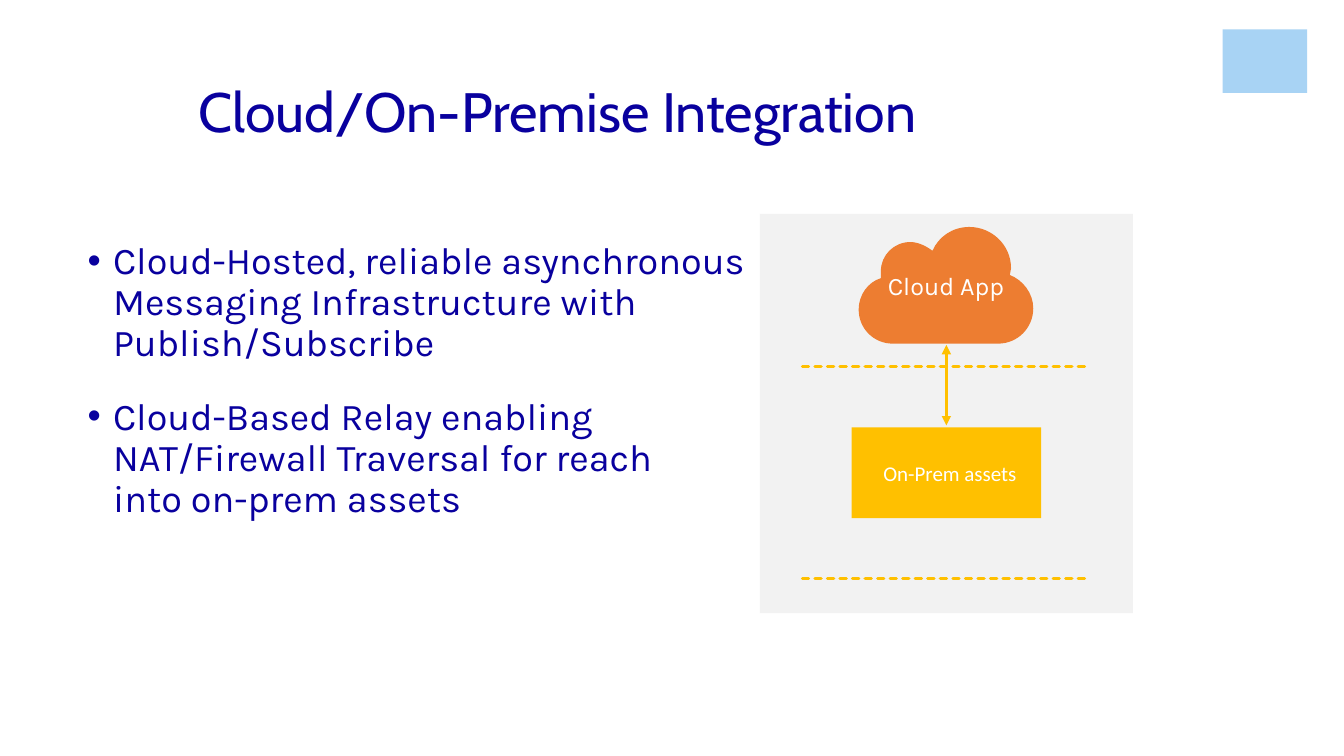
import pptx
import pptx.util
import pptx.dml.color
import pptx.enum.dml
import pptx.enum.shapes
import pptx.enum.text
import pptx.oxml
import pptx.oxml.ns
from pptx.util import Cm

COLORS = {"navy": "09009E", "panel": "F2F2F2", "orange": "ED7D31",
          "amber": "FFC000", "sky": "A8D3F4", "white": "FFFFFF"}
qn = pptx.oxml.ns.qn
RECTANGLE = pptx.enum.shapes.MSO_SHAPE.RECTANGLE
STRAIGHT = pptx.enum.shapes.MSO_CONNECTOR.STRAIGHT


def paint(shape, color):
    shape.shadow.inherit = False
    shape.fill.solid()
    shape.fill.fore_color.rgb = pptx.dml.color.RGBColor.from_string(COLORS[color])
    shape.line.fill.background()


def write(shape, *texts, size, font, color="navy", align="LEFT", anchor="MIDDLE",
          left_inset=0.25, right_inset=0.25, inset=0.13, line_spacing=1.0,
          before=0, after=0, bullet=False):
    frame = shape.text_frame
    frame.word_wrap = True
    frame.vertical_anchor = pptx.enum.text.MSO_ANCHOR[anchor]
    frame.margin_left, frame.margin_right = Cm(left_inset), Cm(right_inset)
    frame.margin_top = frame.margin_bottom = Cm(inset)
    for number, text in enumerate(texts):
        paragraph = frame.add_paragraph() if number else frame.paragraphs[0]
        paragraph.text = text
        paragraph.alignment = pptx.enum.text.PP_ALIGN[align]
        paragraph.line_spacing = line_spacing
        paragraph.space_before = pptx.util.Pt(before)
        paragraph.space_after = pptx.util.Pt(after)
        for run in paragraph.runs:
            run.font.size = pptx.util.Pt(size)
            run.font.name = font
            run.font.color.rgb = pptx.dml.color.RGBColor.from_string(COLORS[color])
        if bullet:
            properties = paragraph._p.get_or_add_pPr()
            properties.set("marL", str(Cm(0.64)))
            properties.set("indent", str(-Cm(0.64)))
            bullet_font = properties.makeelement(qn("a:buFont"), {"typeface": "Arial"})
            bullet_mark = properties.makeelement(qn("a:buChar"), {"char": "•"})
            properties.extend([bullet_font, bullet_mark])


presentation = pptx.Presentation()
presentation.slide_width, presentation.slide_height = Cm(33.87), Cm(19.05)
slide = presentation.slides.add_slide(presentation.slide_layouts[6])
shapes = slide.shapes

# Corner block and diagram panel
corner = shapes.add_shape(RECTANGLE, Cm(30.81), Cm(0.74), Cm(2.13), Cm(1.6))
paint(corner, "sky")
panel = shapes.add_shape(RECTANGLE, Cm(19.15), Cm(5.39), Cm(9.4), Cm(10.06))
paint(panel, "panel")

# Cloud: each row is two control points and the end point of a curve, in cm
cloud_start = (25.45, 6.93)
cloud_curves = [
    ((25.45, 6.88), (25.48, 6.81), (25.48, 6.76)),
    ((25.48, 6.17), (24.99, 5.72), (24.43, 5.72)),
    ((24.0, 5.72), (23.65, 5.97), (23.5, 6.32)),
    ((23.34, 6.2), (23.14, 6.1), (22.94, 6.1)),
    ((22.53, 6.1), (22.2, 6.43), (22.2, 6.83)),
    ((22.2, 6.88), (22.2, 6.96), (22.2, 7.01)),
    ((21.87, 7.11), (21.64, 7.44), (21.64, 7.8)),
    ((21.64, 8.28), (22.02, 8.66), (22.5, 8.66)),
    ((25.15, 8.66), (25.15, 8.66), (25.15, 8.66)),
    ((25.65, 8.66), (26.04, 8.26), (26.04, 7.77)),
    ((26.04, 7.39), (25.78, 7.06), (25.45, 6.93)),
]
builder = shapes.build_freeform(Cm(cloud_start[0]), Cm(cloud_start[1]))
builder.add_line_segments([(Cm(x), Cm(y)) for *controls, (x, y) in cloud_curves], close=True)
cloud = builder.convert_to_shape()
paint(cloud, "orange")

# Turn the straight segments of the cloud into curves
segments = list(cloud._element.iter(qn("a:lnTo")))
for segment, curve in zip(segments, cloud_curves):
    bend = segment.makeelement(qn("a:cubicBezTo"), {})
    for x, y in curve:
        position = {"x": str(Cm(x) - cloud.left), "y": str(Cm(y) - cloud.top)}
        bend.append(bend.makeelement(qn("a:pt"), position))
    segment.getparent().replace(segment, bend)
write(cloud, "Cloud App", size=18, font="Karla", color="white", align="CENTER",
      left_inset=0.2, right_inset=0.2, inset=0.1)

# Bullets and title
body = shapes.add_textbox(Cm(1.96), Cm(5.97), Cm(20.8), Cm(11.48))
write(body,
      "Cloud-Hosted, reliable asynchronous \nMessaging Infrastructure with \nPublish/Subscribe",
      "Cloud-Based Relay enabling \nNAT/Firewall Traversal for reach \ninto on-prem assets",
      size=27, font="Karla", anchor="TOP", line_spacing=0.9, before=10, after=13.5,
      bullet=True)
title = shapes.add_textbox(Cm(4.75), Cm(1.61), Cm(20.8), Cm(2.54))
write(title, "Cloud/On-Premise Integration", size=39.6, font="Cabin", line_spacing=0.9)

# On-premise box
assets = shapes.add_shape(RECTANGLE, Cm(21.46), Cm(10.77), Cm(4.78), Cm(2.29))
paint(assets, "amber")
write(assets, "On-Prem assets", size=15, font="Calibri", color="white", align="CENTER",
      left_inset=0.38, right_inset=0.2, inset=0.1)

# Double arrow and dashed boundaries
arrow = shapes.add_connector(STRAIGHT, Cm(23.85), Cm(8.69), Cm(23.85), Cm(10.72))
boundaries = [shapes.add_connector(STRAIGHT, Cm(20.22), Cm(y), Cm(27.46), Cm(y))
              for y in (9.24, 14.58)]
for connector in [arrow, *boundaries]:
    connector.line.width = pptx.util.Pt(2.25)
    connector.line.color.rgb = pptx.dml.color.RGBColor.from_string(COLORS["amber"])
    shape_properties = connector._element.spPr
    shape_properties.append(shape_properties.makeelement(qn("a:effectLst"), {}))
for boundary in boundaries:
    boundary.line.dash_style = pptx.enum.dml.MSO_LINE.SQUARE_DOT
    boundary.line._get_or_add_ln().set("cap", "rnd")
arrow_line = arrow.line._get_or_add_ln()
for end_name in ("a:headEnd", "a:tailEnd"):
    arrow_line.append(arrow_line.makeelement(qn(end_name), {"type": "triangle"}))

presentation.save("out.pptx")
